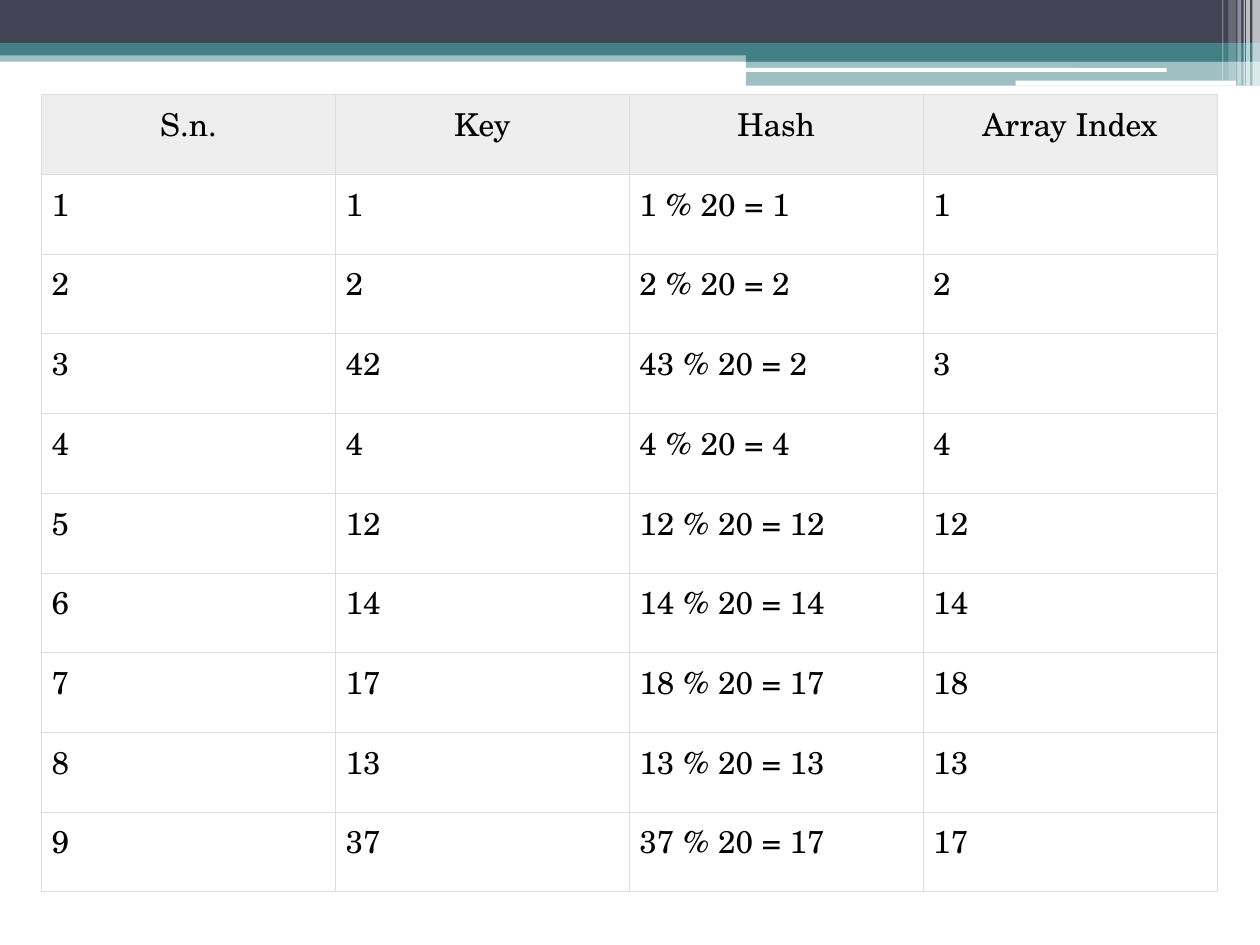
from lxml import etree
from pptx import Presentation
from pptx import util as u
from pptx.dml.color import RGBColor
from pptx.enum import shapes, text
from pptx.oxml import ns

NAVY, TEAL, WHITE, BLACK = "424456", "438086", "FFFFFF", "000000"
HEADER_FILL, BORDER = "EEEEEE", "DDDDDD"
RECT = shapes.MSO_SHAPE.RECTANGLE
ROUNDED = shapes.MSO_SHAPE.ROUNDED_RECTANGLE


def color(hex_string):
    return RGBColor.from_string(hex_string)


def add_xml(parent, tag, **attributes):
    return etree.SubElement(parent, ns.qn(tag), **attributes)


class SlideBuilder:
    font_name = "TeX Gyre Schola"
    font_size = u.Pt(18)
    border_width = u.Pt(0.34)

    def __init__(self, slide):
        self.slide = slide

    def bar(self, left, top, width, height, fill, opacity=100, kind=RECT):
        box = [u.Inches(value) for value in (left, top, width, height)]
        shape = self.slide.shapes.add_shape(kind, *box)
        shape.shadow.inherit = False
        shape.line.fill.background()
        shape.fill.solid()
        shape.fill.fore_color.rgb = color(fill)
        if opacity < 100:
            fill_color = shape.fill._xPr.find(ns.qn("a:solidFill"))[0]
            add_xml(fill_color, "a:alpha", val=str(opacity * 1000))

    def table(self, left, top, width, height, rows):
        box = [u.Inches(value) for value in (left, top, width, height)]
        table = self.slide.shapes.add_table(len(rows), len(rows[0]), *box).table
        table.first_row = table.horz_banding = False
        for row_index, row in enumerate(rows):
            for column_index, label in enumerate(row):
                self.cell(table.cell(row_index, column_index), label, row_index == 0)

    def cell(self, cell, label, is_header):
        cell.margin_left = cell.margin_right = u.Inches(0.08)
        cell.margin_top = cell.margin_bottom = u.Inches(0.05)
        properties = cell._tc.get_or_add_tcPr()
        for side in ("a:lnL", "a:lnR", "a:lnT", "a:lnB"):
            line = add_xml(properties, side, w=str(self.border_width))
            add_xml(add_xml(line, "a:solidFill"), "a:srgbClr", val=BORDER)
        if is_header:
            cell.fill.solid()
            cell.fill.fore_color.rgb = color(HEADER_FILL)
        else:
            cell.fill.background()
        cell.text = label
        paragraph = cell.text_frame.paragraphs[0]
        paragraph.alignment = text.PP_ALIGN.CENTER if is_header else text.PP_ALIGN.LEFT
        paragraph.font.name = self.font_name
        paragraph.font.size = self.font_size
        paragraph.font.color.rgb = color(BLACK)


def main():
    presentation = Presentation()
    presentation.slide_width, presentation.slide_height = u.Inches(10), u.Inches(7.5)
    builder = SlideBuilder(presentation.slides.add_slide(presentation.slide_layouts[6]))

    # Header bands
    builder.bar(0, 0.4, 10, 0.09, TEAL, 50)
    builder.bar(0, 0, 10, 0.34, NAVY)
    builder.bar(0, 0.34, 10, 0.1, TEAL)
    builder.bar(5.92, 0.39, 4.08, 0.1, TEAL)
    builder.bar(5.92, 0.48, 4.08, 0.2, TEAL, 50)
    builder.bar(5.91, 0.54, 3.35, 0.03, WHITE, kind=ROUNDED)
    builder.bar(8.06, 0.64, 1.75, 0.04, WHITE, kind=ROUNDED)

    # Translucent stripes at the right edge: left, width, height, opacity
    for left, width, height, opacity in (
        (9.94, 0.06, 0.68, 65),
        (9.89, 0.03, 0.68, 65),
        (9.87, 0.01, 0.68, 60),
        (9.82, 0.03, 0.68, 40),
        (9.75, 0.06, 0.64, 20),
        (9.7, 0.01, 0.64, 30),
    ):
        builder.bar(left, 0, width, height, WHITE, opacity)

    # Hash table: key, hash, array index
    entries = [
        ("1", "1 % 20 = 1", "1"),
        ("2", "2 % 20 = 2", "2"),
        ("42", "43 % 20 = 2", "3"),
        ("4", "4 % 20 = 4", "4"),
        ("12", "12 % 20 = 12", "12"),
        ("14", "14 % 20 = 14", "14"),
        ("17", "18 % 20 = 17", "18"),
        ("13", "13 % 20 = 13", "13"),
        ("37", "37 % 20 = 17", "17"),
    ]
    rows = [("S.n.", "Key", "Hash", "Array Index")]
    rows += [(str(number), *entry) for number, entry in enumerate(entries, 1)]
    builder.table(0.33, 0.75, 9.33, 6.33, rows)

    presentation.save("out.pptx")


if __name__ == "__main__":
    main()
